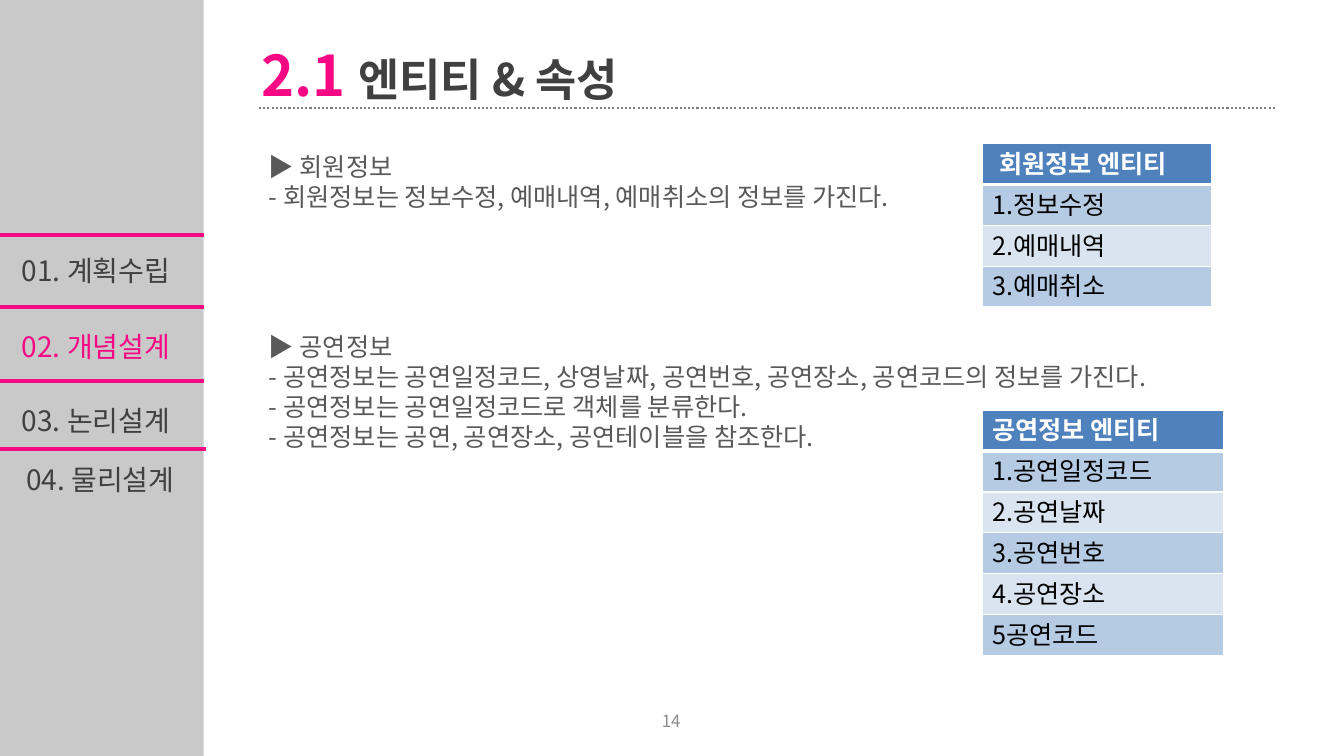
from dataclasses import dataclass

from lxml.etree import SubElement
from pptx import Presentation
from pptx.dml.color import RGBColor
from pptx.enum.dml import MSO_LINE
from pptx.enum.shapes import MSO_CONNECTOR, MSO_SHAPE
from pptx.enum.text import MSO_ANCHOR, PP_ALIGN
from pptx.oxml.ns import qn
from pptx.util import Pt


@dataclass(frozen=True)
class Theme:
    font: str = "Noto Sans CJK KR"
    pink: str = "F60885"
    dark: str = "404040"
    gray: str = "595959"
    rule: str = "808080"
    muted: str = "8C8C8C"
    white: str = "FFFFFF"
    black: str = "000000"
    header: str = "4F81BD"
    bands: tuple = ("B5CAE3", "DAE4F1")
    number: int = 40
    title: int = 32
    menu: int = 20
    body: int = 18
    page: int = 12
    leading: float = 1.19


class Deck:
    """Draws styled elements on the current slide."""

    def __init__(self, prs, theme):
        self.theme = theme
        self.s = prs.slides.add_slide(prs.slide_layouts[6])

    def run(self, p, text, size, color, bold=False):
        r = p.add_run()
        r.text = text
        r.font.name = self.theme.font
        r.font.size = Pt(size)
        r.font.bold = bold
        r.font.color.rgb = RGBColor.from_string(color)
        SubElement(r.font._element, qn("a:ea")).set("typeface", self.theme.font)
        p.line_spacing = Pt(max(size * self.theme.leading, p.line_spacing.pt if p.line_spacing else 0))

    def text(self, x, y, w, h, paragraphs, align=PP_ALIGN.LEFT, anchor=MSO_ANCHOR.TOP):
        tf = self.s.shapes.add_textbox(Pt(x), Pt(y), Pt(w), Pt(h)).text_frame
        tf.word_wrap = True
        tf.vertical_anchor = anchor
        for i, (gap, runs) in enumerate(paragraphs):
            p = tf.add_paragraph() if i else tf.paragraphs[0]
            p.alignment = align
            p.space_before = Pt(gap)
            for item in runs:
                self.run(p, *item)

    def panel(self, x, y, w, h, color, opacity):
        sp = self.s.shapes.add_shape(MSO_SHAPE.RECTANGLE, Pt(x), Pt(y), Pt(w), Pt(h))
        sp.shadow.inherit = False
        sp.fill.solid()
        sp.fill.fore_color.rgb = RGBColor.from_string(color)
        sp.line.fill.background()
        rgb = sp._element.spPr.find(qn("a:solidFill"))[0]
        SubElement(rgb, qn("a:alpha")).set("val", str(opacity * 1000))

    def line(self, x1, x2, y, color, width, dash=None):
        c = self.s.shapes.add_connector(MSO_CONNECTOR.STRAIGHT, Pt(x1), Pt(y), Pt(x2), Pt(y))
        c.line.color.rgb = RGBColor.from_string(color)
        c.line.width = Pt(width)
        if dash:
            c.line.dash_style = dash
        SubElement(c._element.spPr, qn("a:effectLst"))

    def border(self, cell, bottom):
        tcPr = cell._tc.get_or_add_tcPr()
        for i, (side, width) in enumerate((("L", 1), ("R", 1), ("T", 1), ("B", bottom))):
            ln = tcPr.makeelement(qn(f"a:ln{side}"), {"w": str(Pt(width))})
            fill = SubElement(ln, qn("a:solidFill"))
            SubElement(fill, qn("a:srgbClr")).set("val", self.theme.white)
            tcPr.insert(i, ln)

    def table(self, x, y, w, row_h, rows, header_indent=0):
        t = self.theme
        frame = self.s.shapes.add_table(len(rows), 1, Pt(x), Pt(y), Pt(w), Pt(row_h * len(rows)))
        for i, text in enumerate(rows):
            head = i == 0
            frame.table.rows[i].height = Pt(row_h)
            cell = frame.table.cell(i, 0)
            cell.fill.solid()
            cell.fill.fore_color.rgb = RGBColor.from_string(t.header if head else t.bands[(i - 1) % 2])
            cell.margin_left = Pt(7.2 + (header_indent if head else 0))
            cell.margin_top = Pt(5)
            cell.margin_bottom = Pt(2)
            self.border(cell, 3 if head else 1)
            self.run(cell.text_frame.paragraphs[0], text, t.body, t.white if head else t.black, head)


def main():
    prs = Presentation()
    prs.slide_width, prs.slide_height = Pt(960), Pt(540)
    t = Theme()
    deck = Deck(prs, t)

    deck.panel(0, 0, 145.5, 540, t.gray, 32)
    for x1, x2, y in ((-2, 145.5, 168), (-2, 145.5, 219.5), (-2, 145.5, 272), (0, 147.5, 321)):
        deck.line(x1, x2, y, t.pink, 3)
    menu = (
        (8.5, 178, "01. 계획수립", t.dark),
        (8.5, 232, "02. 개념설계", t.pink),
        (8.5, 285, "03. 논리설계", t.dark),
        (11.5, 327, "04. 물리설계", t.dark),
    )
    for x, y, label, color in menu:
        deck.text(x, y, 134, 31, [(0, [(label, t.menu, color)])])

    title = [("2.1 ", t.number, t.pink, True), ("엔티티 & 속성", t.title, t.dark, True)]
    deck.text(179.5, 26, 430, 55, [(0, title)])
    deck.line(185, 911, 77, t.rule, 1.5, MSO_LINE.ROUND_DOT)

    body = (
        (0, "▶ 회원정보"),
        (0, "- 회원정보는 정보수정, 예매내역, 예매취소의 정보를 가진다."),
        (4 * t.body * t.leading, "▶ 공연정보"),
        (0, "- 공연정보는 공연일정코드, 상영날짜, 공연번호, 공연장소, 공연코드의 정보를 가진다."),
        (0, "- 공연정보는 공연일정코드로 객체를 분류한다."),
        (0, "- 공연정보는 공연, 공연장소, 공연테이블을 참조한다."),
    )
    deck.text(185, 105, 652, 245, [(gap, [(line, t.body, t.gray)]) for gap, line in body])

    deck.table(701.5, 102.5, 164, 29.2, ("회원정보 엔티티", "1.정보수정", "2.예매내역", "3.예매취소"), 5)
    deck.table(701.5, 293, 172.5, 29.2, (
        "공연정보 엔티티", "1.공연일정코드", "2.공연날짜", "3.공연번호", "4.공연장소", "5공연코드"))
    deck.text(327.5, 500.5, 304, 29, [(0, [("14", t.page, t.muted)])], PP_ALIGN.CENTER, MSO_ANCHOR.MIDDLE)
    prs.save("out.pptx")


if __name__ == "__main__":
    main()
